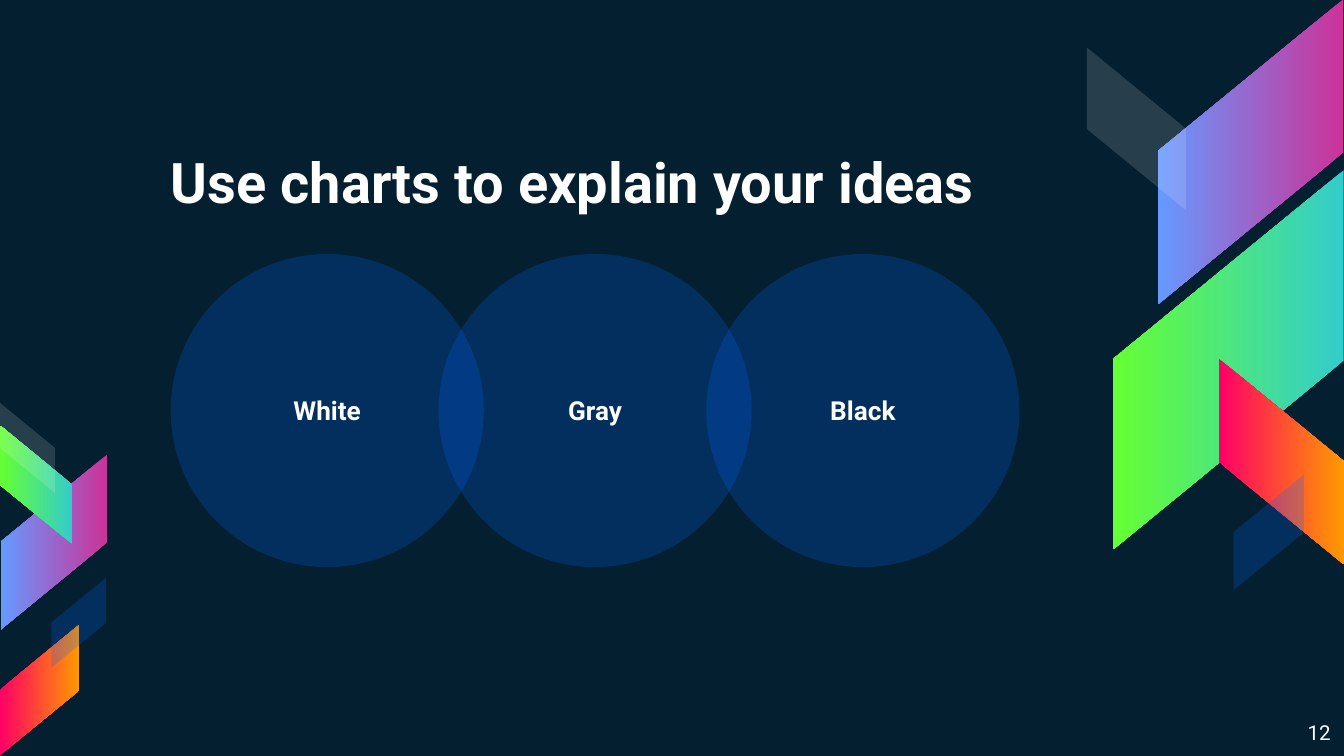
from dataclasses import dataclass
from typing import Optional

from lxml import etree
from pptx import Presentation
from pptx.dml.color import RGBColor
from pptx.enum.shapes import MSO_SHAPE
from pptx.enum.text import MSO_ANCHOR, MSO_AUTO_SIZE, PP_ALIGN
from pptx.oxml.ns import qn
from pptx.util import Inches, Pt

SLIDE_W = Inches(10)
SLIDE_H = SLIDE_W * 9 // 16
CELL = SLIDE_W / 100  # square grid, 100 columns across the slide

NAVY = RGBColor(0x04, 0x1F, 0x30)
WHITE = RGBColor(0xFF, 0xFF, 0xFF)
BLUE = RGBColor(0x00, 0x66, 0xFF)
PINK_TO_BLUE = (RGBColor(0xCC, 0x33, 0x99), RGBColor(0x66, 0x99, 0xFF))
TEAL_TO_GREEN = (RGBColor(0x33, 0xCC, 0xCC), RGBColor(0x66, 0xFF, 0x33))
RED_TO_ORANGE = (RGBColor(0xFF, 0x00, 0x66), RGBColor(0xFF, 0x99, 0x00))

FONT = "Roboto"
GLASS_ALPHA = 14
BLUE_ALPHA = 23
RIBBON_RATIO = 0.608
RIBBON_SLANT = 0.819


@dataclass(frozen=True)
class Ribbon:
    """A parallelogram turned upright; its frame is given before turning."""
    left: float
    top: float
    length: float
    turn: int
    rising: bool
    gradient: Optional[tuple[RGBColor, RGBColor]] = None
    tint: RGBColor = WHITE
    alpha: int = GLASS_ALPHA


RIBBONS = [
    # right-hand cluster
    Ribbon(81.7, 4.4, 22.7, 90, True, PINK_TO_BLUE),
    Ribbon(77.3, 18.2, 28.2, 90, True, TEAL_TO_GREEN),
    Ribbon(87.7, 29.7, 15.3, 270, False, RED_TO_ORANGE),
    Ribbon(78.5, 5.9, 12.1, 270, False),
    Ribbon(90.1, 37, 8.6, 270, True, tint=BLUE, alpha=BLUE_ALPHA),
    # left-hand cluster
    Ribbon(-2.5, 36.4, 13, 90, True, PINK_TO_BLUE),
    Ribbon(-1.7, 33.4, 8.8, 90, False, TEAL_TO_GREEN),
    Ribbon(-1.9, 48.4, 9.7, 270, True, RED_TO_ORANGE),
    Ribbon(-1.3, 31.3, 6.7, 270, False),
    Ribbon(2.5, 44.3, 6.7, 270, True, tint=BLUE, alpha=BLUE_ALPHA),
]

CIRCLE_LABELS = ["White", "Gray", "Black"]
CIRCLE_LEFT, CIRCLE_TOP = 12.7, 18.9
CIRCLE_SIZE, CIRCLE_STEP = 23.3, 19.93


def cells(*counts: float) -> list[int]:
    """Turn grid counts into slide lengths."""
    return [round(count * CELL) for count in counts]


def fill_translucent(shape, color: RGBColor, alpha: int) -> None:
    """Fill a shape with a colour at the given opacity in percent."""
    shape.fill.solid()
    shape.fill.fore_color.rgb = color
    clr = shape._element.spPr.find(qn("a:solidFill"))[0]
    etree.SubElement(clr, qn("a:alpha"), val=str(alpha * 1000))


def add_plain_shape(slide, kind: MSO_SHAPE, *box: float):
    """Add a preset shape without outline or shadow."""
    shape = slide.shapes.add_shape(kind, *cells(*box))
    shape.shadow.inherit = False
    shape.line.fill.background()
    return shape


def write(shape, text: str, size: int, bold: bool, align: PP_ALIGN,
          anchor: MSO_ANCHOR) -> None:
    """Set one line of white text in a shape."""
    frame = shape.text_frame
    frame.word_wrap = True
    frame.auto_size = MSO_AUTO_SIZE.NONE
    frame.vertical_anchor = anchor
    frame.margin_left = frame.margin_right = Inches(0.1)
    frame.margin_top = frame.margin_bottom = Inches(0.1)
    paragraph = frame.paragraphs[0]
    paragraph.alignment = align
    run = paragraph.add_run()
    run.text = text
    run.font.name, run.font.size, run.font.bold = FONT, Pt(size), bold
    run.font.color.rgb = WHITE


def add_ribbon(slide, ribbon: Ribbon) -> None:
    """Draw one decorative ribbon."""
    shape = add_plain_shape(slide, MSO_SHAPE.PARALLELOGRAM, ribbon.left, ribbon.top,
                            ribbon.length, ribbon.length * RIBBON_RATIO)
    shape.adjustments[0] = RIBBON_SLANT
    shape.rotation = ribbon.turn
    if ribbon.rising:
        shape._element.spPr.find(qn("a:xfrm")).set("flipH", "1")
    if ribbon.gradient:
        shape.fill.gradient()
        shape.fill.gradient_angle = 270
        for stop, color in zip(shape.fill.gradient_stops, ribbon.gradient):
            stop.color.rgb = color
    else:
        fill_translucent(shape, ribbon.tint, ribbon.alpha)


def add_circle(slide, index: int, label: str) -> None:
    """Draw one labelled circle of the overlapping row."""
    circle = add_plain_shape(slide, MSO_SHAPE.OVAL, CIRCLE_LEFT + index * CIRCLE_STEP,
                             CIRCLE_TOP, CIRCLE_SIZE, CIRCLE_SIZE)
    fill_translucent(circle, BLUE, BLUE_ALPHA)
    write(circle, label, 14, True, PP_ALIGN.CENTER, MSO_ANCHOR.MIDDLE)


def main() -> None:
    """Build and save the slide."""
    deck = Presentation()
    deck.slide_width, deck.slide_height = SLIDE_W, SLIDE_H
    slide = deck.slides.add_slide(deck.slide_layouts[5])
    slide.background.fill.solid()
    slide.background.fill.fore_color.rgb = NAVY

    for ribbon in RIBBONS:
        add_ribbon(slide, ribbon)

    title = slide.shapes.title
    title.left, title.top, title.width, title.height = cells(11.7, 10, 65.3, 7)
    write(title, "Use charts to explain your ideas", 30, True,
          PP_ALIGN.LEFT, MSO_ANCHOR.BOTTOM)

    for index, label in enumerate(CIRCLE_LABELS):
        add_circle(slide, index, label)

    page_number = slide.shapes.add_textbox(*cells(93.6, 52.6, 6.4, 3.6))
    write(page_number, "12", 11, False, PP_ALIGN.RIGHT, MSO_ANCHOR.TOP)

    deck.save("out.pptx")


main()
